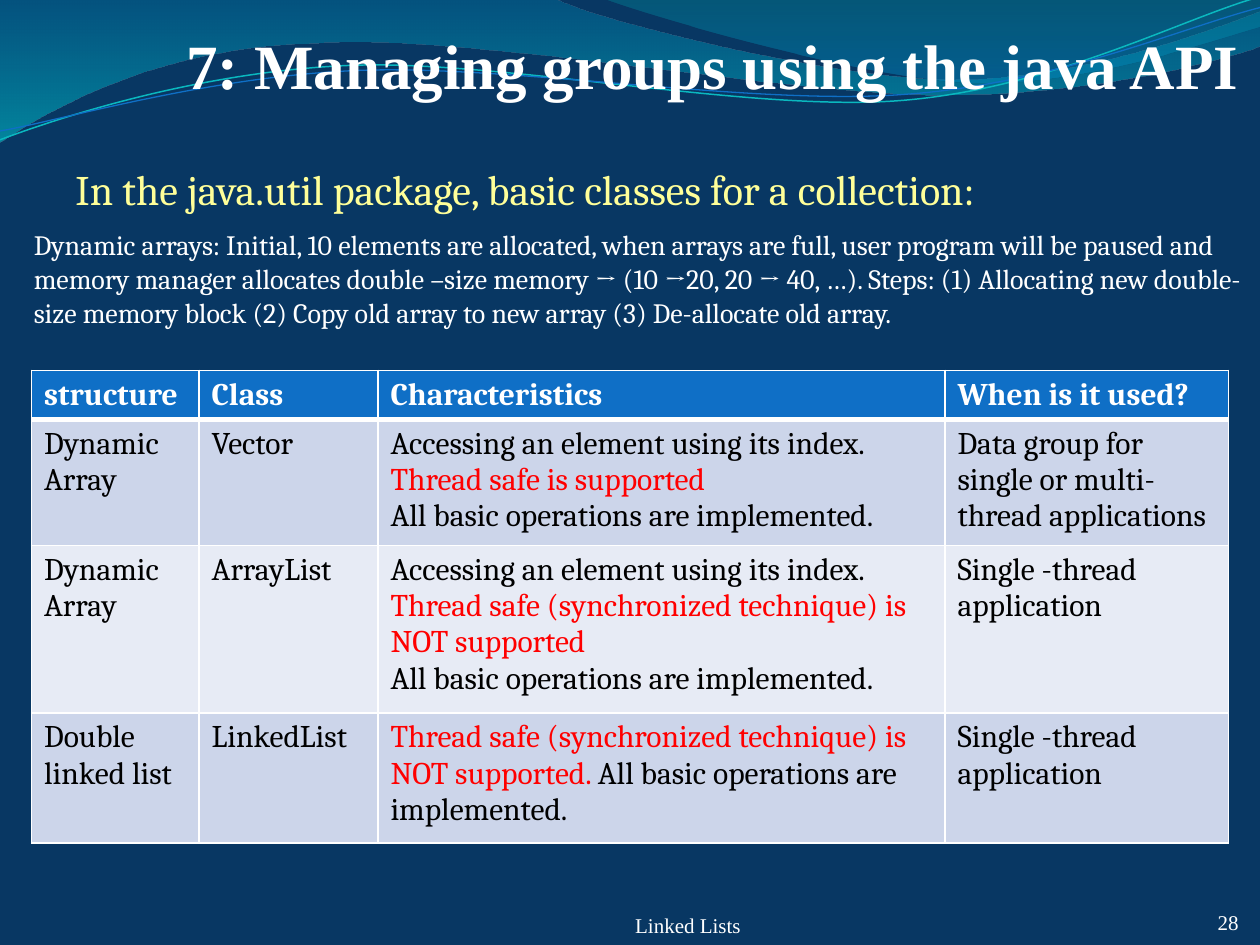
from dataclasses import dataclass

from lxml import etree
from pptx import Presentation
from pptx.dml.color import RGBColor
from pptx.enum import text
from pptx.oxml import ns
from pptx.util import Inches, Pt


@dataclass(frozen=True)
class Theme:
    """Colours, fonts and type sizes of the deck."""
    background: str = "083763"
    white: str = "FFFFFF"
    black: str = "000000"
    red: str = "FF0000"
    heading: str = "FFFF99"
    header: str = "0F6FC6"
    teal: str = "0AB8BF"
    bands: tuple = ("CCD5EA", "E7EBF5")
    serif: str = "Times New Roman"
    body: str = "Cambria"
    title_size: int = 36
    heading_size: int = 24
    table_size: int = 18
    note_size: int = 16
    footer_size: int = 12


T = Theme()

BIG_WAVE = [[(0, 0)], [(4.4, -0.01)],
            [(4.76, 0.17), (6.64, 0.63), (7.58, 0.63)],
            [(8.53, 0.63), (9.58, 0.26), (10, 0.09)], [(10.01, 0.36)],
            [(9.83, 0.44), (8.7, 0.76), (7.46, 0.75)],
            [(6.22, 0.75), (3.82, 0.28), (2.57, 0.34)],
            [(1.29, 0.36), (0.46, 0.83), (-0.01, 1.13)], [(0, 0)]]
SMALL_WAVE = [[(4.79, -0.01)], [(5.09, 0.11), (6.82, 0.62), (7.69, 0.65)],
              [(8.56, 0.69), (9.61, 0.32), (10, 0.21)], [(10, 0)], [(4.79, -0.01)]]
TEAL_LINE = [[(0, 1.11)], [(0.48, 0.93), (1.58, 0.57), (2.77, 0.52)],
             [(3.95, 0.47), (5.93, 0.89), (7.13, 0.8)],
             [(8.33, 0.71), (9.38, 0.15), (9.98, -0.02)]]
BLUE_LINE = [[(0, 1.04)], [(0.47, 0.96), (1.64, 0.61), (2.83, 0.56)],
             [(4.03, 0.51), (5.97, 0.84), (7.17, 0.75)],
             [(8.36, 0.67), (9.41, 0.21), (10, 0.06)]]

INTRO = "In the java.util package, basic classes for a collection:"
NOTE = ("Dynamic arrays: Initial, 10 elements are allocated, when arrays are full, "
        "user program will be paused and memory manager allocates double –size memory "
        "→ (10 →20, 20 → 40, …). Steps: (1) Allocating new double-size memory block "
        "(2) Copy old array to new array (3) De-allocate old array.")

COLUMNS = (1.33, 1.42, 4.5, 2.25)
ROWS = (0.38, 1, 1.33, 1.03)
HEADERS = ("structure", "Class", "Characteristics", "When is it used?")
INDEXED = "Accessing an element using its index."
OPERATIONS = "All basic operations are implemented."
UNSAFE = "Thread safe (synchronized technique) is NOT supported"
STRUCTURES = [
    ("Dynamic Array", "Vector",
     [[(INDEXED, T.black)], [("Thread safe is supported", T.red)], [(OPERATIONS, T.black)]],
     "Data group for single or multi-thread applications"),
    ("Dynamic Array", "ArrayList",
     [[(INDEXED + " ", T.black), (UNSAFE, T.red)], [(OPERATIONS, T.black)]],
     "Single -thread application"),
    ("Double linked list", "LinkedList",
     [[(UNSAFE + ". ", T.red), (OPERATIONS, T.black)]],
     "Single -thread application"),
]


def rgb(value):
    """Return a colour object for a hex value."""
    return RGBColor.from_string(value)


def write(tf, paragraphs, size, font, bold=False, align=None):
    """Fill a text frame with paragraphs of (text, colour) runs."""
    for i, runs in enumerate(paragraphs):
        p = tf.paragraphs[0] if i == 0 else tf.add_paragraph()
        p.alignment = align
        for words, colour in runs:
            r = p.add_run()
            r.text = words
            r.font.size, r.font.name, r.font.bold = Pt(size), font, bold
            r.font.color.rgb = rgb(colour)


def set_insets(tf, left, top, right, bottom):
    """Set the four text insets in inches."""
    tf.margin_left, tf.margin_top = Inches(left), Inches(top)
    tf.margin_right, tf.margin_bottom = Inches(right), Inches(bottom)


def add_outline(s, segments, closed):
    """Draw an outline whose three-point segments are cubic curves."""
    points = [(Inches(x), Inches(y)) for segment in segments for x, y in segment]
    builder = s.shapes.build_freeform(*points[0])
    builder.add_line_segments(points[1:], close=closed)
    sp = builder.convert_to_shape()
    sp.shadow.inherit = False
    lines = iter(list(sp._element.iter(ns.qn("a:lnTo"))))
    for segment in segments[1:]:
        steps = [next(lines) for _ in segment]
        if len(steps) == 3:
            curve = etree.Element(ns.qn("a:cubicBezTo"))
            steps[0].addprevious(curve)
            for step in steps:
                curve.append(step[0])
                step.getparent().remove(step)
    return sp


def add_wave(s, segments, stops):
    """Draw a filled wave with a translucent downward gradient."""
    sp = add_outline(s, segments, True)
    sp.line.fill.background()
    sp.fill.gradient()
    sp.fill.gradient_angle = 270
    for stop, (position, colour, _) in zip(sp.fill.gradient_stops, stops):
        stop.position = position
        stop.color.rgb = rgb(colour)
    for clr, (_, _, opacity) in zip(sp._element.spPr.iter(ns.qn("a:srgbClr")), stops):
        etree.SubElement(clr, ns.qn("a:alpha"), val=str(opacity * 1000))


def add_waves(s):
    """Draw the decoration along the top of the slide."""
    add_wave(s, BIG_WAVE, [(0, "0074A1", 45), (1, "00C6CF", 55)])
    add_wave(s, SMALL_WAVE, [(0, "00A1A9", 30), (0.8, "008BBF", 45)])
    for segments, colour, width in ((TEAL_LINE, T.teal, 0.85), (BLUE_LINE, T.header, 0.75)):
        sp = add_outline(s, segments, False)
        sp.fill.background()
        sp.line.color.rgb = rgb(colour)
        sp.line.width = Pt(width)


def add_title(s, box, words):
    """Place the title placeholder above the decoration."""
    sp = s.shapes.title
    s.shapes._spTree.append(sp._element)
    sp.left, sp.top, sp.width, sp.height = map(Inches, box)
    tf = sp.text_frame
    tf.auto_size = text.MSO_AUTO_SIZE.NONE
    tf.vertical_anchor = text.MSO_ANCHOR.BOTTOM
    set_insets(tf, 0, 0.05, 0, 0)
    write(tf, [[(words, T.white)]], T.title_size, T.serif, True, text.PP_ALIGN.RIGHT)


def add_text(s, box, words, colour, size):
    """Place a wrapped body text box."""
    tf = s.shapes.add_textbox(*map(Inches, box)).text_frame
    tf.word_wrap = True
    tf.auto_size = text.MSO_AUTO_SIZE.SHAPE_TO_FIT_TEXT
    write(tf, [[(words, colour)]], size, T.body)


def add_footer(s, box, words, align):
    """Place a footer text on the bottom edge of its box."""
    tf = s.shapes.add_textbox(*map(Inches, box)).text_frame
    tf.word_wrap = True
    tf.vertical_anchor = text.MSO_ANCHOR.BOTTOM
    set_insets(tf, 0, 0, 0, 0)
    write(tf, [[(words, T.white)]], T.footer_size, T.serif, align=align)


def set_borders(cell, top, bottom):
    """Give a cell white borders, with the top and bottom widths in points."""
    sides = (("a:lnL", 1), ("a:lnR", 1), ("a:lnT", top), ("a:lnB", bottom))
    for i, (tag, width) in enumerate(sides):
        ln = etree.Element(ns.qn(tag), w=str(Pt(width)))
        fill = etree.SubElement(ln, ns.qn("a:solidFill"))
        etree.SubElement(fill, ns.qn("a:srgbClr"), val=T.white)
        cell._tc.get_or_add_tcPr().insert(i, ln)


def add_structures(s, box):
    """Place the table that compares the collection classes."""
    table = s.shapes.add_table(len(ROWS), len(COLUMNS), *map(Inches, box)).table
    for column, width in zip(table.columns, COLUMNS):
        column.width = Inches(width)
    for i, values in enumerate([HEADERS, *STRUCTURES]):
        table.rows[i].height = Inches(ROWS[i])
        header = i == 0
        for j, value in enumerate(values):
            cell = table.cell(i, j)
            cell.fill.solid()
            cell.fill.fore_color.rgb = rgb(T.header if header else T.bands[(i - 1) % 2])
            if isinstance(value, str):
                value = [[(value, T.white if header else T.black)]]
            write(cell.text_frame, value, T.table_size, T.body, header)
            set_borders(cell, 3 if i == 1 else 1, 3 if header else 1)


def main():
    """Build the slide and save it."""
    prs = Presentation()
    prs.slide_width, prs.slide_height = Inches(10), Inches(7.5)
    s = prs.slides.add_slide(prs.slide_layouts[5])
    s.background.fill.solid()
    s.background.fill.fore_color.rgb = rgb(T.background)
    add_waves(s)
    add_title(s, (0.5, 0.08, 9.33, 0.73), "7: Managing groups using the java API")
    add_structures(s, (0.25, 2.94, sum(COLUMNS), sum(ROWS)))
    add_text(s, (0.5, 1.25, 9.25, 0.5), INTRO, T.heading, T.heading_size)
    add_footer(s, (9.25, 7.17, 0.58, 0.25), "28", text.PP_ALIGN.RIGHT)
    add_footer(s, (3.92, 7.17, 3.08, 0.27), "Linked Lists", text.PP_ALIGN.CENTER)
    add_text(s, (0.17, 1.76, 9.83, 0.91), NOTE, T.white, T.note_size)
    prs.save("out.pptx")


if __name__ == "__main__":
    main()
